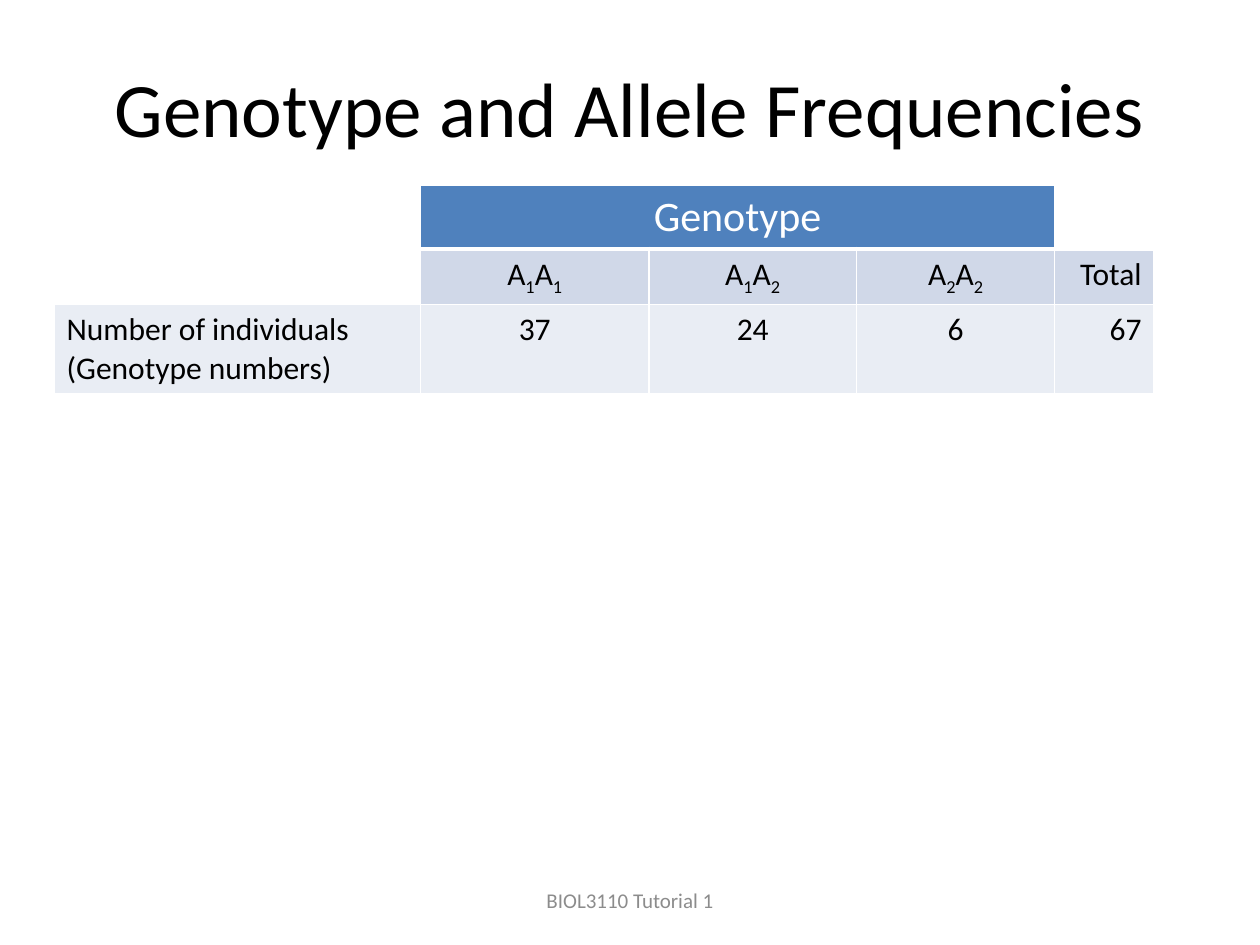
from dataclasses import dataclass

from lxml import etree
from pptx import Presentation
from pptx.dml.color import RGBColor
from pptx.enum import text as t
from pptx.oxml import ns
from pptx.util import Cm, Pt


@dataclass(frozen=True)
class Theme:
    font: str = "Calibri"
    ink: str = "000000"
    paper: str = "FFFFFF"
    muted: str = "8C8C8C"
    header: str = "4F81BD"
    band_dark: str = "D0D8E8"
    band_light: str = "E9EDF4"
    title_size: int = 44
    header_size: int = 24
    body_size: int = 18
    footer_size: int = 12


THEME = Theme()
LEFT, CENTER, RIGHT = t.PP_ALIGN.LEFT, t.PP_ALIGN.CENTER, t.PP_ALIGN.RIGHT
COLUMN_WIDTHS = (7.39, 4.6, 4.19, 3.99, 2.01)
COLUMN_ALIGN = (LEFT, CENTER, CENTER, CENTER, RIGHT)
ROW_HEIGHT = 1.04
GENOTYPES = ["A1A1", "A1A2", "A2A2"]
ROWS = [
    ["", "Genotype", "", "", ""],
    ["", *GENOTYPES, "Total"],
    ["Number of individuals (Genotype numbers)", "37", "24", "6", "67"],
]


def write(tf, content, size=THEME.body_size, color=THEME.ink, align=LEFT,
          subscript_digits=False):
    """Fill the first paragraph, optionally lowering its digits."""
    p = tf.paragraphs[0]
    p.alignment = align
    for piece in content if subscript_digits else [content]:
        r = p.add_run()
        r.text = piece
        r.font.name = THEME.font
        r.font.size = Pt(size)
        r.font.bold = False
        r.font.color.rgb = RGBColor.from_string(color)
        if subscript_digits and piece.isdigit():
            r.font._element.set("baseline", "-25000")


def place(sp, left, top, width, height):
    sp.left, sp.top, sp.width, sp.height = map(Cm, (left, top, width, height))


def add_title(s, content):
    sp = s.shapes.title
    place(sp, 1.27, 0.56, 22.86, 3.17)
    sp.text_frame.vertical_anchor = t.MSO_ANCHOR.MIDDLE
    write(sp.text_frame, content, size=THEME.title_size, align=CENTER)


def add_footer(s, content):
    sp = s.shapes.add_textbox(Cm(8.68), Cm(17.65), Cm(8.04), Cm(1.01))
    tf = sp.text_frame
    tf.word_wrap = True
    tf.vertical_anchor = t.MSO_ANCHOR.MIDDLE
    write(tf, content, size=THEME.footer_size, color=THEME.muted, align=CENTER)


def set_borders(cell, **widths):
    """Draw the four cell edges; 1 pt unless L, R, T or B says otherwise."""
    tc_pr = cell._tc.get_or_add_tcPr()
    for side in "LRTB":
        ln = etree.SubElement(tc_pr, ns.qn(f"a:ln{side}"),
                              w=str(Pt(widths.get(side, 1))))
        fill = etree.SubElement(ln, ns.qn("a:solidFill"))
        etree.SubElement(fill, ns.qn("a:srgbClr"), val=THEME.paper)


def fill_cell(cell, color):
    cell.fill.solid()
    cell.fill.fore_color.rgb = RGBColor.from_string(color)


def add_frequency_table(s):
    frame = s.shapes.add_table(
        len(ROWS), len(COLUMN_WIDTHS), Cm(1.09), Cm(3.73),
        Cm(sum(COLUMN_WIDTHS)), Cm(ROW_HEIGHT * len(ROWS)))
    table = frame.table
    table.first_row = table.horz_banding = False
    for column, width in zip(table.columns, COLUMN_WIDTHS):
        column.width = Cm(width)
    table.cell(0, 1).merge(table.cell(0, len(GENOTYPES)))

    row_fills = (THEME.header, THEME.band_dark, THEME.band_light)
    row_edges = ({"B": 3}, {"T": 3}, {})
    for i, row in enumerate(ROWS):
        for j, content in enumerate(row):
            cell = table.cell(i, j)
            set_borders(cell, **row_edges[i])
            filled = content or cell.is_spanned
            fill_cell(cell, row_fills[i] if filled else THEME.paper)
            if content:
                write(cell.text_frame, content,
                      size=THEME.body_size if i else THEME.header_size,
                      color=THEME.ink if i else THEME.paper,
                      align=COLUMN_ALIGN[j],
                      subscript_digits=content in GENOTYPES)


def main():
    prs = Presentation()
    prs.slide_width, prs.slide_height = Cm(25.4), Cm(19.05)
    s = prs.slides.add_slide(prs.slide_layouts.get_by_name("Title Only"))
    add_title(s, "Genotype and Allele Frequencies")
    add_frequency_table(s)
    add_footer(s, "BIOL3110 Tutorial 1")
    prs.save("out.pptx")


if __name__ == "__main__":
    main()
